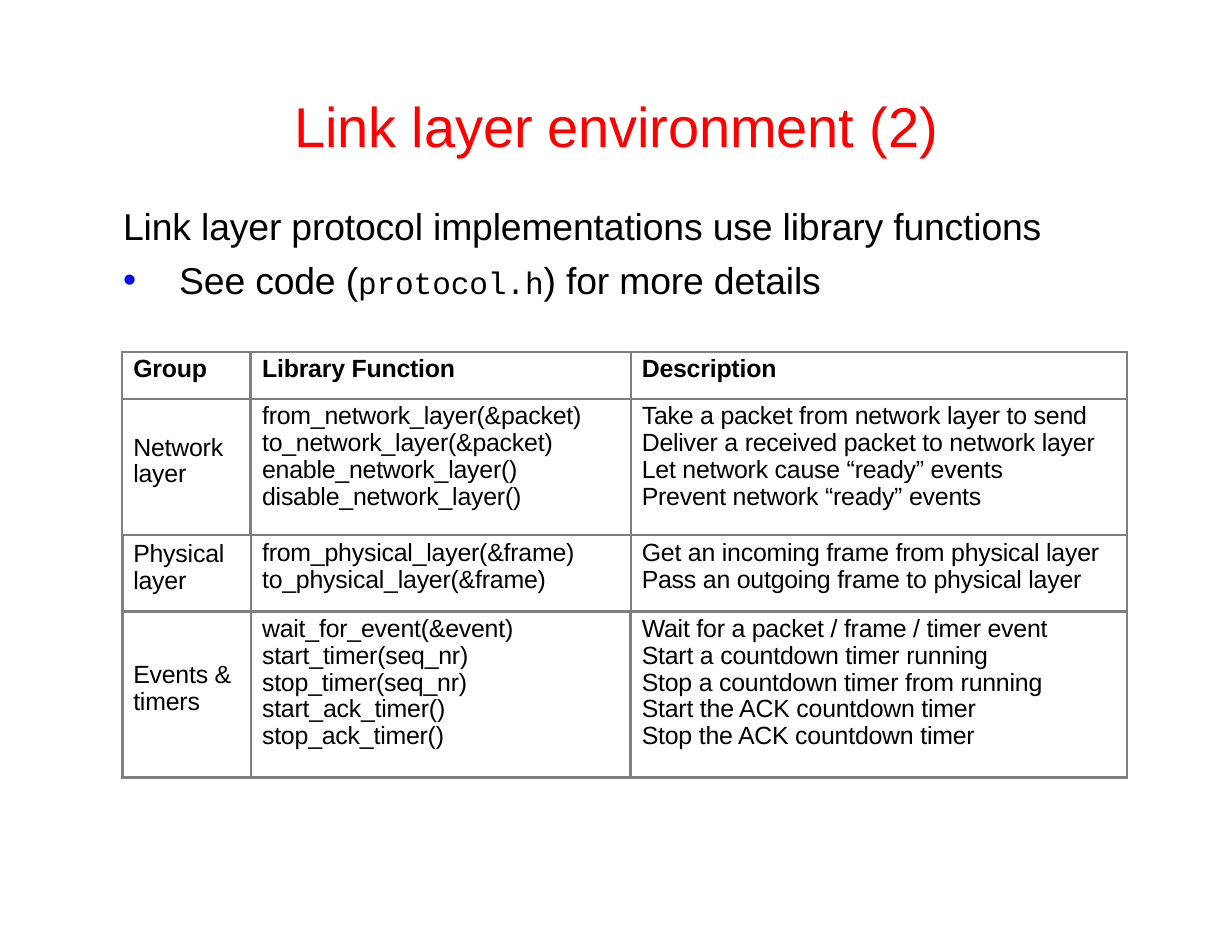
from lxml.etree import SubElement
from pptx import Presentation
from pptx.dml.color import RGBColor
from pptx.enum.text import MSO_ANCHOR as Anchor, MSO_AUTO_SIZE as Fit, PP_ALIGN as Align
from pptx.oxml.ns import qn
from pptx.util import Pt

RED = RGBColor(0xFF, 0, 0)
BLUE = RGBColor(0, 0, 0xFF)
BLACK = RGBColor(0, 0, 0)
GREY = RGBColor(0x7F, 0x7F, 0x7F)

TITLE = "Link layer environment (2)"
LEAD = "Link layer protocol implementations use library functions"
POINT = [("See code (", None), ("protocol.h", "Courier New"), (") for more details", None)]
ROWS = [
    (["Group"], ["Library Function"], ["Description"]),
    (["Network", "layer"],
     ["from_network_layer(&packet)", "to_network_layer(&packet)",
      "enable_network_layer()", "disable_network_layer()"],
     ["Take a packet from network layer to send",
      "Deliver a received packet to network layer",
      "Let network cause “ready” events",
      "Prevent network “ready” events"]),
    (["Physical", "layer"],
     ["from_physical_layer(&frame)", "to_physical_layer(&frame)"],
     ["Get an incoming frame from physical layer",
      "Pass an outgoing frame to physical layer"]),
    (["Events &", "timers"],
     ["wait_for_event(&event)", "start_timer(seq_nr)", "stop_timer(seq_nr)",
      "start_ack_timer()", "stop_ack_timer()"],
     ["Wait for a packet / frame / timer event",
      "Start a countdown timer running",
      "Stop a countdown timer from running",
      "Start the ACK countdown timer",
      "Stop the ACK countdown timer"]),
]
WIDTHS = [82.8, 244.1, 319]
HEIGHTS = [30.2, 87.8, 49, 106.6]
THIN, THICK = Pt(1.5), Pt(2.25)
THICK_V = {(0, 1), (1, 1), (2, 0), (3, 0), (3, 2)}  # (row, grid line)
THICK_H = {3, 4}  # grid lines


def style(para, size, color=BLACK, bold=False):
    """Set the font of a paragraph, with slightly tight letter spacing."""
    font = para.font
    font.name, font.size, font.bold = "Arial", Pt(size), bold
    font.color.rgb = color
    para._p.get_or_add_pPr().get_or_add_defRPr().set("spc", "-10")


def place(shape, left, top, width, height, inset=0):
    shape.left, shape.top = Pt(left), Pt(top)
    shape.width, shape.height = Pt(width), Pt(height)
    frame = shape.text_frame
    frame.margin_left = frame.margin_right = frame.margin_bottom = 0
    frame.margin_top = Pt(inset)
    frame.word_wrap, frame.auto_size = True, Fit.NONE
    return frame


def indent(para, left, hang):
    props = para._p.get_or_add_pPr()
    props.set("marL", str(Pt(left)))
    props.set("indent", str(Pt(-hang)))
    return props


def border(cell, row, col):
    props = cell._tc.get_or_add_tcPr()
    sides = {"L": (row, col) in THICK_V, "R": (row, col + 1) in THICK_V,
             "T": row in THICK_H, "B": row + 1 in THICK_H}
    for side, thick in sides.items():
        line = SubElement(props, qn(f"a:ln{side}"), w=str(THICK if thick else THIN))
        fill = SubElement(line, qn("a:solidFill"))
        SubElement(fill, qn("a:srgbClr"), val=str(GREY))


def fill_cell(cell, lines, row, col):
    border(cell, row, col)
    cell.fill.background()
    cell.margin_left, cell.margin_right = Pt(7.2), 0
    cell.margin_top, cell.margin_bottom = Pt(3), Pt(10 if row else 0)
    cell.vertical_anchor = Anchor.MIDDLE if row and col == 0 else Anchor.TOP
    frame = cell.text_frame
    for i, line in enumerate(lines):
        para = frame.add_paragraph() if i else frame.paragraphs[0]
        para.text = line
        para.line_spacing = 0.97
        style(para, 16, bold=row == 0)


def main():
    deck = Presentation()
    deck.slide_width, deck.slide_height = Pt(792), Pt(612)
    slide = deck.slides.add_slide(deck.slide_layouts[1])
    title, body = slide.placeholders

    frame = place(title, 187.2, 57.6, 417.6, 45.4)
    frame.vertical_anchor = Anchor.MIDDLE
    head = frame.paragraphs[0]
    head.text, head.alignment = TITLE, Align.CENTER
    style(head, 36, RED)

    frame = place(body, 78.5, 122.4, 598.3, 69.8, 8)
    lead = frame.paragraphs[0]
    lead.text, lead.space_before = LEAD, Pt(0)
    SubElement(indent(lead, 0.7, 0), qn("a:buNone"))
    style(lead, 24)

    point = frame.add_paragraph()
    point.space_before = Pt(6)
    props = indent(point, 36.7, 36)
    tint = SubElement(props, qn("a:buClr"))
    SubElement(tint, qn("a:srgbClr"), val=str(BLUE))
    SubElement(props, qn("a:buChar"), char="•")
    style(point, 24)
    for text, face in POINT:
        run = point.add_run()
        run.text = text
        if face:
            run.font.name, run.font.size = face, Pt(20)

    table = slide.shapes.add_table(
        len(ROWS), len(WIDTHS), Pt(78.5), Pt(226.1), Pt(sum(WIDTHS)), Pt(sum(HEIGHTS))).table
    table.first_row = table.horz_banding = False
    for col, width in zip(table.columns, WIDTHS):
        col.width = Pt(width)
    for r, (cells, height) in enumerate(zip(ROWS, HEIGHTS)):
        table.rows[r].height = Pt(height)
        for c, lines in enumerate(cells):
            fill_cell(table.cell(r, c), lines, r, c)

    deck.save("out.pptx")


if __name__ == "__main__":
    main()
